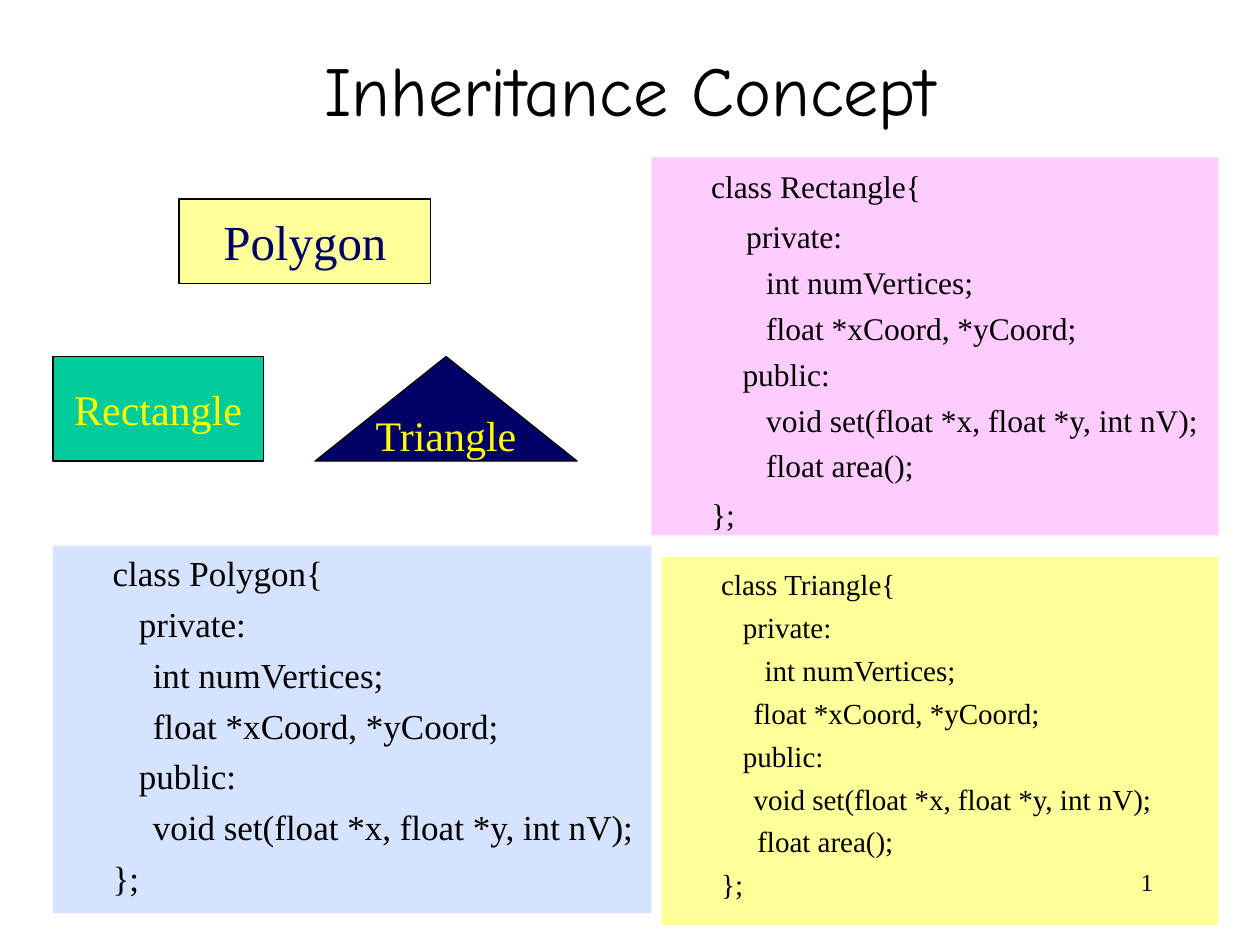
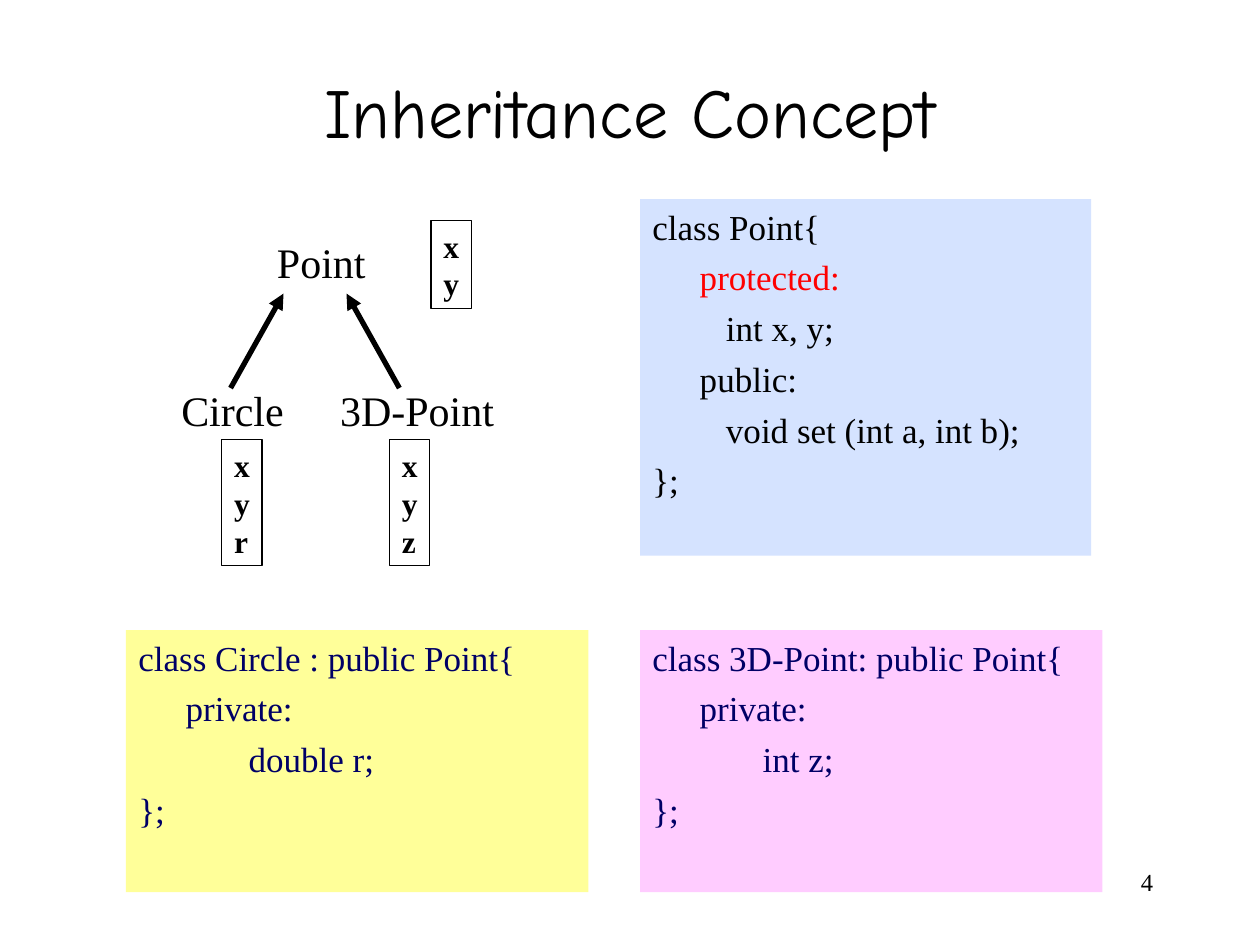
from lxml import etree
from pptx import Presentation
from pptx.dml.color import RGBColor
from pptx.enum import shapes, text
from pptx.oxml.ns import qn
from pptx.util import Inches, Pt

BLACK = RGBColor(0x00, 0x00, 0x00)
NAVY = RGBColor(0x00, 0x00, 0x66)
RED = RGBColor(0xFF, 0x00, 0x00)
YELLOW = RGBColor(0xFF, 0xFF, 0x00)
GREEN = RGBColor(0x00, 0xCC, 0x99)
PINK = RGBColor(0xFF, 0xCC, 0xFF)
PALE_BLUE = RGBColor(0xD5, 0xE3, 0xFF)
PALE_YELLOW = RGBColor(0xFF, 0xFF, 0x99)

TITLE_FONT, BODY_FONT = "Comic Neue", "Times New Roman"
TITLE = "Inheritance Concept"
CODE_INDENT = 0.375
TAB_STOPS = range(8)
RECT = shapes.MSO_SHAPE.RECTANGLE
TRIANGLE = shapes.MSO_SHAPE.ISOSCELES_TRIANGLE
LEFT, CENTER, RIGHT = (text.PP_ALIGN.LEFT, text.PP_ALIGN.CENTER,
                       text.PP_ALIGN.RIGHT)
TOP, MIDDLE = text.MSO_ANCHOR.TOP, text.MSO_ANCHOR.MIDDLE

# A code line is a string, or a list of (words, overrides) runs.
SLIDES = [
    {
        "number": "1",
        "title_top": 0.33,
        "figures": [
            # kind, place, fill, label, size, colour
            (RECT, (0.42, 2.83, 1.67, 0.83), GREEN, "Rectangle", 24, YELLOW),
            (TRIANGLE, (2.5, 2.83, 2.08, 0.83), NAVY, "Triangle", 24, YELLOW),
            (RECT, (1.42, 1.58, 2, 0.67), PALE_YELLOW, "Polygon", 28, NAVY),
        ],
        "classes": [
            # place, fill, size, colour, space before, lines
            ((5.17, 1.25, 4.5, 3), PINK, 18, BLACK, 4.5, [
                [("\t", {"size": 20}), ("class Rectangle{", {})],
                [("\t    ", {"size": 20}), ("private:", {})],
                "\t       int numVertices;",
                "\t       float *xCoord, *yCoord;",
                "\t    public:",
                "\t       void set(float *x, float *y, int nV);",
                "\t       float area();",
                [("\t", {"size": 20}), ("};", {})],
            ]),
            ((0.42, 4.33, 4.75, 2.92), PALE_BLUE, 20, BLACK, 5, [
                "\tclass Polygon{",
                "\t   private:",
                "          int numVertices;",
                "          float *xCoord, *yCoord;",
                "\t   public:",
                "          void set(float *x, float *y, int nV);",
                "\t};",
            ]),
            ((5.25, 4.42, 4.42, 2.92), PALE_YELLOW, 16.6, BLACK, 4.5, [
                [("\t", {"size": 18.5}), ("class Triangle{", {})],
                "\t   private:",
                "\t      int numVertices;",
                "           float *xCoord, *yCoord;",
                "\t   public:",
                "           void set(float *x, float *y, int nV);",
                "\t     float area();",
                "\t};",
            ]),
        ],
    },
    {
        "number": "4",
        "title_top": 0.5,
        "class_names": [
            ("Point", (2.1, 1.83, 0.9, 0.5)),
            ("Circle", (1.34, 3, 1.01, 0.5)),
            ("3D-Point", (2.6, 3, 1.42, 0.5)),
        ],
        "members": [
            ("xy", (3.42, 1.75, 0.32, 0.7)),
            ("xyr", (1.76, 3.49, 0.32, 1)),
            ("xyz", (3.09, 3.49, 0.32, 1)),
        ],
        "arrows": [  # from subclass to base class
            ((1.83, 3.08), (2.25, 2.33)),
            ((3.17, 3.08), (2.75, 2.33)),
        ],
        "classes": [
            ((5.08, 1.58, 3.58, 2.83), PALE_BLUE, 20, BLACK, 5, [
                "class Point{",
                [("\t", {}), ("protected:", {"color": RED})],
                "\t   int x, y;",
                "\tpublic:",
                "\t   void set (int a, int b);",
                "};",
            ]),
            ((1, 5, 3.67, 2.08), PALE_YELLOW, 20, NAVY, 5, [
                "class Circle : public Point{",
                "\tprivate:",
                "\t\tdouble r;",
                "};",
            ]),
            ((5.08, 5, 3.67, 2.08), PINK, 20, NAVY, 5, [
                "class 3D-Point: public Point{",
                "\tprivate:",
                "\t\tint z;",
                "};",
            ]),
        ],
    },
]


def inches(place):
    return [Inches(length) for length in place]


def add_run(paragraph, words, size, color=BLACK, font=BODY_FONT, bold=False):
    run = paragraph.add_run()
    run.text = words
    run.font.name = font
    run.font.size = Pt(size)
    run.font.bold = bold
    run.font.color.rgb = color


def write(shape, lines, size, align=LEFT, anchor=TOP, wrap=False, **style):
    """Fill a shape with one paragraph per line and return the paragraphs."""
    frame = shape.text_frame
    frame.word_wrap = wrap
    frame.auto_size = text.MSO_AUTO_SIZE.NONE
    frame.vertical_anchor = anchor
    paragraphs = []
    for i, line in enumerate(lines):
        paragraph = frame.add_paragraph() if i else frame.paragraphs[0]
        paragraph.alignment = align
        runs = [(line, {})] if isinstance(line, str) else line
        for words, overrides in runs:
            add_run(paragraph, words, **{"size": size, **style, **overrides})
        paragraphs.append(paragraph)
    return paragraphs


def add_filled(slide, kind, place, fill):
    shape = slide.shapes.add_shape(kind, *inches(place))
    shape.shadow.inherit = False
    shape.fill.solid()
    shape.fill.fore_color.rgb = fill
    shape.line.fill.background()
    return shape


def outline(shape):
    shape.line.color.rgb = BLACK
    shape.line.width = Pt(0.75)


def indent_code(paragraph):
    """Give a hanging indent and a tab stop at every inch."""
    properties = paragraph._p.get_or_add_pPr()
    properties.set("marL", str(Inches(CODE_INDENT)))
    properties.set("indent", str(-Inches(CODE_INDENT)))
    stops = etree.SubElement(properties, qn("a:tabLst"))
    for stop in TAB_STOPS:
        etree.SubElement(stops, qn("a:tab"), pos=str(Inches(stop)), algn="l")


def add_class(slide, place, fill, size, color, space, lines):
    box = add_filled(slide, RECT, place, fill)
    paragraphs = write(box, lines, size, wrap=True, color=color)
    for i, paragraph in enumerate(paragraphs):
        indent_code(paragraph)
        paragraph.space_before = Pt(space if i else 0)


def add_figure(slide, kind, place, fill, label, size, color):
    figure = add_filled(slide, kind, place, fill)
    outline(figure)
    write(figure, [label], size, CENTER, MIDDLE, color=color)


def add_label(slide, place, lines, size, **style):
    label = slide.shapes.add_textbox(*inches(place))
    write(label, lines, size, **style)
    return label


def add_arrow(slide, start, end):
    arrow = slide.shapes.add_connector(
        shapes.MSO_CONNECTOR.STRAIGHT, *inches(start + end))
    arrow.line.color.rgb = BLACK
    arrow.line.width = Pt(3)
    etree.SubElement(arrow.line._get_or_add_ln(), qn("a:tailEnd"),
                     type="triangle")
    etree.SubElement(arrow._element.spPr, qn("a:effectLst"))


def add_slide(deck, content):
    slide = deck.slides.add_slide(deck.slide_layouts.get_by_name("Title Only"))
    title = slide.shapes.title
    title.left, title.top, title.width, title.height = inches(
        (0.75, content["title_top"], 8.5, 0.75))
    write(title, [TITLE], 40, CENTER, MIDDLE, wrap=True, font=TITLE_FONT)

    for figure in content.get("figures", []):
        add_figure(slide, *figure)
    for name, place in content.get("class_names", []):
        add_label(slide, place, [name], 24)
    for code in content["classes"]:
        add_class(slide, *code)
    for names, place in content.get("members", []):
        outline(add_label(slide, place, list(names), 18, bold=True))
    for start, end in content.get("arrows", []):
        add_arrow(slide, start, end)
    add_label(slide, (7.17, 6.83, 2.08, 0.5), [content["number"]], 14,
              align=RIGHT, wrap=True)


def main():
    deck = Presentation()
    deck.slide_width, deck.slide_height = Inches(10), Inches(7.5)
    for content in SLIDES:
        add_slide(deck, content)
    deck.save("out.pptx")


if __name__ == "__main__":
    main()
